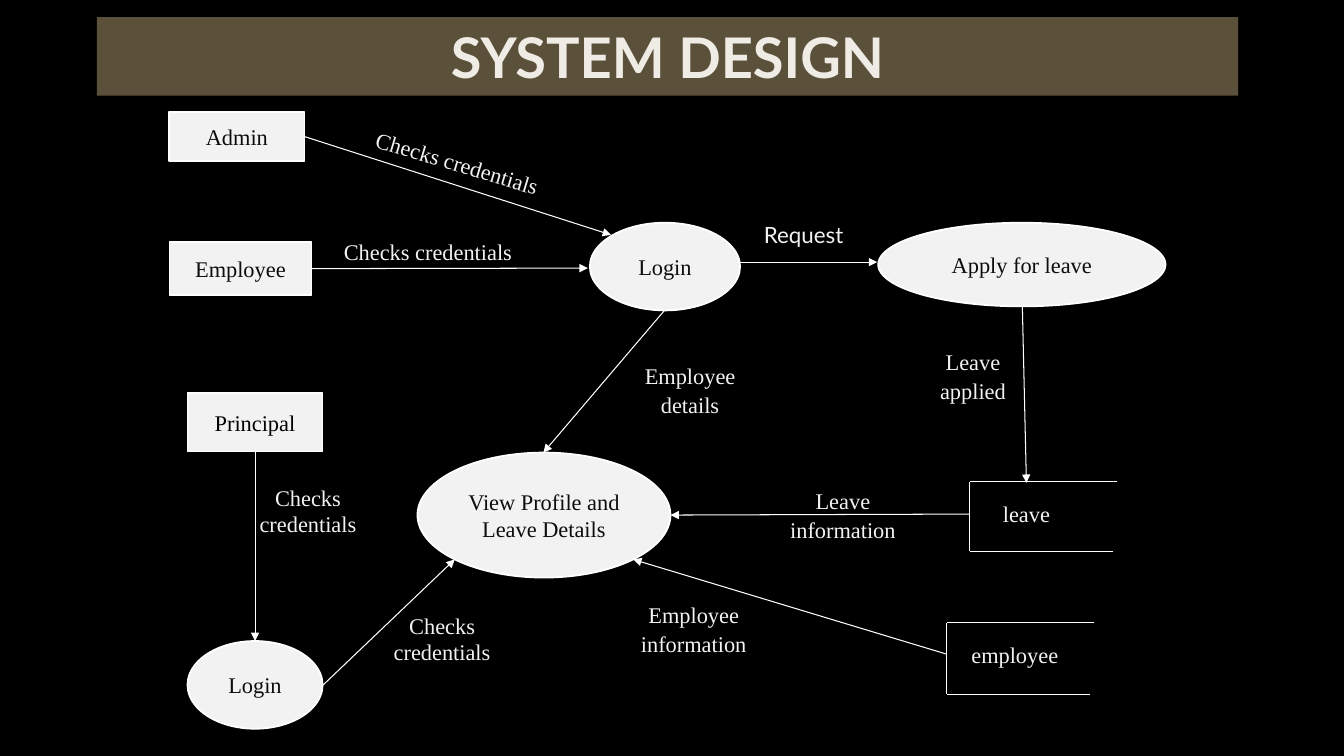
"""Build the system design data flow slide."""
from lxml import etree
from pptx import Presentation
from pptx import util as u
from pptx.dml.color import RGBColor
from pptx.enum import shapes, text
from pptx.oxml.ns import qn

COLOURS = {"black": "000000", "ink": "0D0D0D", "pale": "F2F2F2", "white": "FFFFFF",
           "brown": "5B5039", "cream": "EFEBE5"}
SERIF, SANS = "Times New Roman", "Lato"
RECTANGLE, OVAL = shapes.MSO_SHAPE.RECTANGLE, shapes.MSO_SHAPE.OVAL
BOTTOM, RIGHT = 2, 3

TITLE = ("SYSTEM DESIGN", (0.96, 0.17, 11.32, 0.78))
ENTITIES = [
    ("Admin", (1.68, 1.11, 1.34, 0.49), "ink"),
    ("Employee", (1.68, 2.4, 1.41, 0.53), "ink"),
    ("Principal", (1.86, 3.9, 1.34, 0.58), "black"),
]
PROCESSES = [
    ("Login", (5.85, 2.21, 1.49, 0.87)),
    ("Apply for leave", (8.71, 2.21, 2.85, 0.83)),
    ("View Profile and Leave Details", (4.14, 4.49, 2.51, 1.24)),
    ("Login", (1.86, 6.36, 1.34, 0.87)),
]
STORES = [
    ("leave", (9.62, 4.78, 1.12, 0.62), 0.69),
    ("employee", (9.39, 6.18, 1.35, 0.62), 0.71),
]
STORE_TOP, STORE_BOTTOM = 1.46, 1.42
ENTITY_FLOWS = [
    ("Admin", RIGHT, (6.06, 2.33)),
    ("Employee", RIGHT, (5.83, 2.66)),
    ("Principal", BOTTOM, (2.53, 6.36)),
]
FLOWS = [
    ((7.32, 2.6), (8.7, 2.6)),
    ((6.59, 3.08), (5.39, 4.49)),
    ((10.14, 3.04), (10.18, 4.79)),
    ((9.62, 5.1), (6.65, 5.11)),
    ((9.39, 6.49), (6.28, 5.55)),
    ((3.2, 6.8), (4.51, 5.55)),
]
CREDENTIAL_LABELS = [
    ((3.36, 1.28, 2.35, 0.67), 16.7),
    ((3.13, 2.16, 2.23, 0.67), 0),
    ((2.23, 4.73, 1.65, 0.67), 0),
    ((3.58, 6, 1.61, 0.67), 0),
]
DETAIL_LABELS = [
    ("Request", (7.36, 1.96, 1.22, 0.72), SANS),
    ("Employee details", (6.08, 3.5, 1.53, 0.72), SERIF),
    ("Leave applied", (9.04, 3.36, 1.22, 0.72), SERIF),
    ("Leave information", (7.6, 4.83, 1.52, 0.54), SERIF),
    ("Employee information", (5.97, 5.82, 1.82, 0.82), SERIF),
]
DETAIL_SPACING = {"line_spacing": 1.07, "space_after": u.Pt(8)}


def rgb(name):
    return RGBColor.from_string(COLOURS[name])


def inches(values):
    return [u.Inches(value) for value in values]


def write(shape, words, colour, font=SERIF, size=16, bold=False, spacing=None):
    frame = shape.text_frame
    frame.word_wrap = True
    frame.vertical_anchor = text.MSO_ANCHOR.MIDDLE
    para = frame.paragraphs[0]
    for name, value in {"alignment": text.PP_ALIGN.CENTER, **(spacing or {})}.items():
        setattr(para, name, value)
    span = para.add_run()
    span.text = words
    for name, value in {"name": font, "size": u.Pt(size), "bold": bold}.items():
        setattr(span.font, name, value)
    span.font.color.rgb = rgb(colour)


def add_node(page, kind, words, place, colour="ink", fill="pale", outline=1.25, **style):
    node = page.shapes.add_shape(kind, *inches(place))
    node.shadow.inherit = False
    node.fill.solid()
    node.fill.fore_color.rgb = rgb(fill)
    if outline:
        node.line.color.rgb = rgb("white")
        node.line.width = u.Pt(outline)
    else:
        node.line.fill.background()
    write(node, words, colour, **style)
    return node


def add_label(page, words, place, rotation=0, **style):
    label = page.shapes.add_textbox(*inches(place))
    label.rotation = rotation
    write(label, words, "pale", **style)


def add_line(page, start, end, arrow=False):
    line = page.shapes.add_connector(shapes.MSO_CONNECTOR.STRAIGHT, *inches(start + end))
    line.line.color.rgb = rgb("white")
    line.line.width = u.Pt(0.75)
    if arrow:
        etree.SubElement(line.line._get_or_add_ln(), qn("a:tailEnd"), type="triangle")
    etree.SubElement(line._element.spPr, qn("a:effectLst"))
    return line


def add_store(page, words, place, depth):
    left, top = place[:2]
    base = top + depth
    add_line(page, (left, top), (left, base))
    add_line(page, (left, top), (left + STORE_TOP, top))
    add_line(page, (left, base), (left + STORE_BOTTOM, base))
    add_label(page, words, place)


def main():
    deck = Presentation()
    deck.slide_width, deck.slide_height = inches((13.33, 7.5))
    page = deck.slides.add_slide(deck.slide_layouts[6])
    page.background.fill.solid()
    page.background.fill.fore_color.rgb = rgb("black")

    add_node(page, RECTANGLE, *TITLE, colour="cream", fill="brown", outline=0,
             font=SANS, size=40, bold=True)
    entities = {words: add_node(page, RECTANGLE, words, place, colour)
                for words, place, colour in ENTITIES}
    for words, place in PROCESSES:
        add_node(page, OVAL, words, place)
    for store in STORES:
        add_store(page, *store)
    for name, side, end in ENTITY_FLOWS:
        add_line(page, end, end, arrow=True).begin_connect(entities[name], side)
    for start, end in FLOWS:
        add_line(page, start, end, arrow=True)
    for place, rotation in CREDENTIAL_LABELS:
        add_label(page, "Checks credentials", place, rotation)
    for words, place, font in DETAIL_LABELS:
        add_label(page, words, place, font=font, spacing=DETAIL_SPACING)
    deck.save("out.pptx")


if __name__ == "__main__":
    main()
